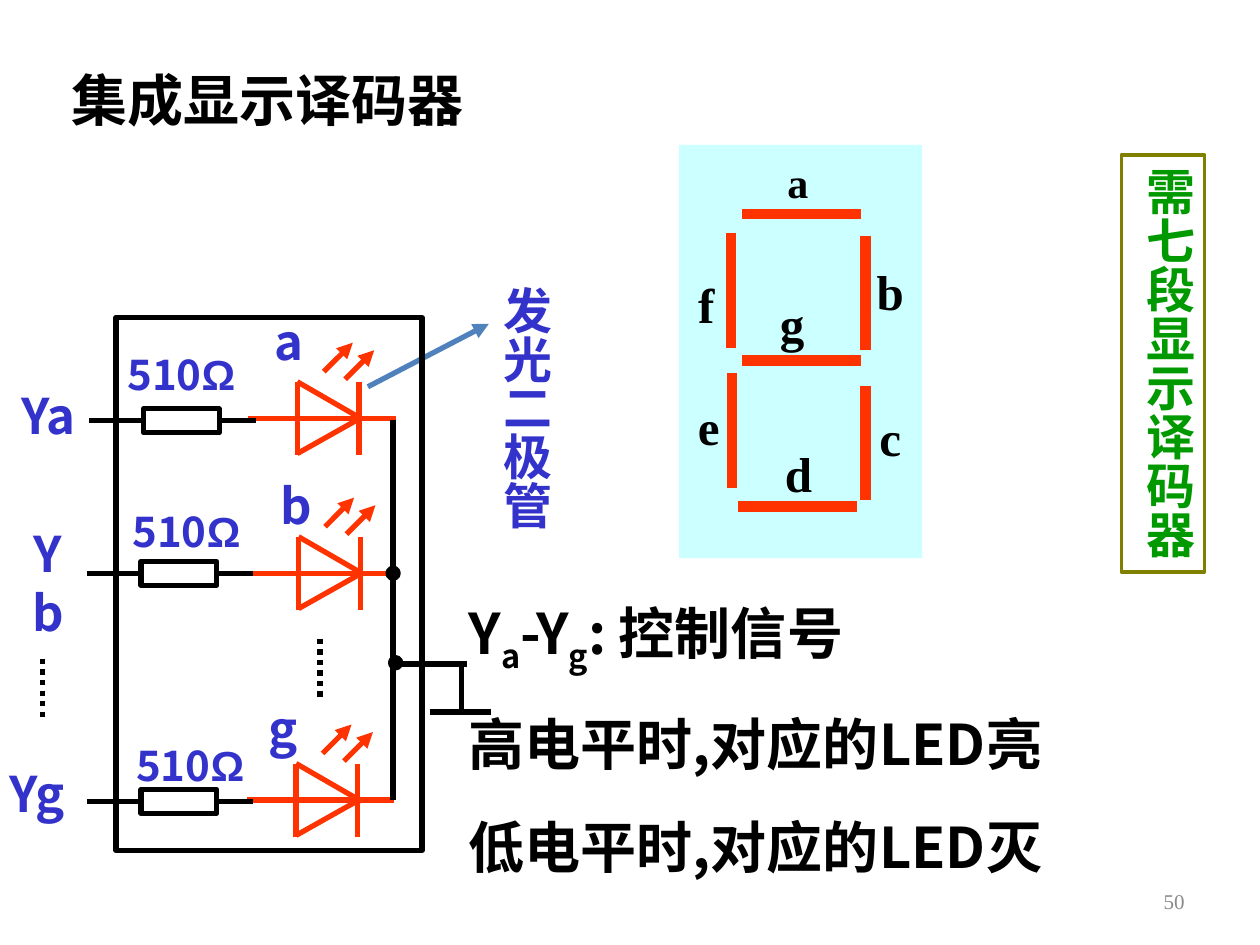
from lxml.etree import SubElement
from pptx import Presentation
from pptx.dml.color import RGBColor
from pptx.enum.dml import MSO_LINE
from pptx.enum.shapes import MSO_CONNECTOR, MSO_SHAPE
from pptx.enum.text import MSO_ANCHOR, PP_ALIGN
from pptx.oxml.ns import qn
from pptx.util import Inches, Pt

BLACK = RGBColor(0, 0, 0)
WHITE = RGBColor(255, 255, 255)
RED = RGBColor(0xFF, 0x33, 0x00)
BLUE = RGBColor(0x33, 0x33, 0xCC)
STEEL = RGBColor(0x4F, 0x81, 0xBD)
CYAN = RGBColor(0xCC, 0xFF, 0xFF)
GREEN = RGBColor(0x00, 0x99, 0x00)
OLIVE = RGBColor(0x80, 0x80, 0x00)
GRAY = RGBColor(0x89, 0x89, 0x89)

SERIF = "Times New Roman"
SANS = "Noto Sans CJK SC"


def add_run(p, text, size, color, font=SANS, bold=True, baseline=0):
    r = p.add_run()
    r.text = text
    r.font.size = Pt(size)
    r.font.bold = bold
    r.font.name = font
    r.font.color.rgb = color
    rPr = r.font._element
    SubElement(rPr, qn("a:ea")).set("typeface", SANS)
    if baseline:
        rPr.set("baseline", str(baseline * 1000))


def format_frame(tf, anchor=MSO_ANCHOR.MIDDLE, wrap=False, vertical=False):
    tf.word_wrap = wrap
    tf.vertical_anchor = anchor
    sides, ends = (0.05, 0.1) if vertical else (0.1, 0.05)
    tf.margin_left = tf.margin_right = Inches(sides)
    tf.margin_top = tf.margin_bottom = Inches(ends)
    if vertical:
        tf._txBody.bodyPr.set("vert", "eaVert")


def add_label(shapes, box, runs, size, color, font=SANS, bold=True,
              align=PP_ALIGN.CENTER, wrap=False, vertical=False):
    tf = shapes.add_textbox(*map(Inches, box)).text_frame
    format_frame(tf, wrap=wrap, vertical=vertical)
    p = tf.paragraphs[0]
    p.alignment = align
    p.space_before = Pt(size * 0.625)
    for text, face in runs:
        add_run(p, text, size, color, face or font, bold)


def add_box(shapes, kind, box, fill=None, line=None, width=3):
    sp = shapes.add_shape(kind, *map(Inches, box))
    sp.shadow.inherit = False
    if fill is None:
        sp.fill.background()
    else:
        sp.fill.solid()
        sp.fill.fore_color.rgb = fill
    if line is None:
        sp.line.fill.background()
    else:
        sp.line.color.rgb = line
        sp.line.width = Pt(width)
    return sp


def add_line(shapes, start, end, color=BLACK, width=3, arrow=False, dash=None):
    cx = shapes.add_connector(MSO_CONNECTOR.STRAIGHT, *map(Inches, (*start, *end)))
    cx.line.color.rgb = color
    cx.line.width = Pt(width)
    if dash:
        cx.line.dash_style = dash
    if arrow:
        SubElement(cx.line._get_or_add_ln(), qn("a:tailEnd")).set("type", "triangle")
    SubElement(cx._element.spPr, qn("a:effectLst"))
    return cx


def add_led(shapes, x, y):
    strokes = [
        ((0, -0.29), (0, 0.29), False),
        ((-0.39, 0), (0.78, 0), False),
        ((0, -0.29), (0.52, 0.01), False),
        ((0.48, 0.01), (0, 0.28), False),
        ((0.49, -0.29), (0.49, 0.29), False),
        ((0.21, -0.37), (0.44, -0.6), True),
        ((0.38, -0.31), (0.61, -0.54), True),
    ]
    for (x1, y1), (x2, y2), arrow in strokes:
        add_line(shapes, (x + x1, y + y1), (x + x2, y + y2), RED, arrow=arrow)


def add_resistor(shapes, cx, cy):
    w, h, lead_in, lead_out = 0.6, 0.19, 0.43, 0.29
    left, right = cx - w / 2, cx + w / 2
    sp = add_box(shapes, MSO_SHAPE.RECTANGLE, (left, cy - h / 2, w, h), WHITE, BLACK)
    add_line(shapes, (left - lead_in, cy), (left, cy)).end_connect(sp, 1)
    add_line(shapes, (right, cy), (right + lead_out, cy)).begin_connect(sp, 3)


def add_seven_segments(shapes):
    add_box(shapes, MSO_SHAPE.RECTANGLE, (5.39, 1.15, 1.93, 3.28), CYAN)
    for x, y in [(5.89, 1.7), (5.89, 2.86), (5.86, 4.02)]:
        add_line(shapes, (x, y), (x + 0.94, y), RED, 6)
    for x, y in [(5.8, 1.85), (5.81, 2.96), (6.87, 3.06), (6.87, 1.87)]:
        add_line(shapes, (x, y), (x, y + 0.91), RED, 6)
    labels = [("a", 6.15, 1.2, 0.36, 24), ("b", 6.86, 2.03, 0.41, 28),
              ("c", 6.88, 3.19, 0.37, 28), ("d", 6.13, 3.47, 0.41, 28),
              ("e", 5.44, 3.1, 0.37, 28), ("f", 5.44, 2.13, 0.33, 28),
              ("g", 6.09, 2.28, 0.39, 28)]
    for text, x, y, w, size in labels:
        add_label(shapes, (x, y, w, size / 50), [(text, None)], size, BLACK, SERIF)


def add_circuit(shapes):
    add_box(shapes, MSO_SHAPE.RECTANGLE, (0.92, 2.52, 2.43, 4.23), line=BLACK)
    leds = [(2.36, 3.32), (2.37, 4.55), (2.35, 6.35)]
    resistors = [(1.44, 3.34), (1.42, 4.55), (1.42, 6.36)]
    for led, resistor in zip(leds, resistors):
        add_led(shapes, *led)
        add_resistor(shapes, *resistor)
    wires = [((3.12, 3.33), (3.12, 6.35)), ((3.12, 5.27), (3.71, 5.27)),
             ((3.66, 5.27), (3.66, 5.65)), ((3.41, 5.65), (3.9, 5.65))]
    for start, end in wires:
        add_line(shapes, start, end)
    for x, y in [(3.08, 4.51), (3.1, 5.22)]:
        add_box(shapes, MSO_SHAPE.OVAL, (x, y, 0.08, 0.08), BLACK, BLACK)
    for x, y in [(2.54, 5.07), (0.34, 5.23)]:
        add_line(shapes, (x, y), (x, y + 0.46), dash=MSO_LINE.ROUND_DOT)
    for x, y in [(0.91, 2.72), (0.95, 3.96), (0.98, 5.82)]:
        add_label(shapes, (x, y, 1.06, 0.5), [("510", None), ("Ω", "Arial")], 24, BLUE)
    names = [("Ya", 0.05, 3.01, 0.67, False), ("Yb", 0.07, 4.34, 0.62, True),
             ("Yg", -0.04, 6.01, 0.67, False), ("a", 2.08, 2.42, 0.43, False),
             ("b", 2.13, 3.72, 0.43, False), ("g", 2.03, 5.49, 0.43, False)]
    for text, x, y, w, wrap in names:
        add_label(shapes, (x, y, w, 0.57), [(text, None)], 28, BLUE, wrap=wrap)


def add_explanation(shapes):
    lines = [
        [("Y", 0), ("a", -25), ("-Y", 0), ("g", -25), (": 控制信号", 0)],
        [("高电平时,对应的LED亮", 0)],
        [("低电平时,对应的LED灭", 0)],
    ]
    tf = shapes.add_textbox(*map(Inches, (3.62, 4.7, 5.26, 2.33))).text_frame
    format_frame(tf, wrap=True)
    for i, runs in enumerate(lines):
        p = tf.add_paragraph() if i else tf.paragraphs[0]
        p.space_before = Pt(20)
        for text, baseline in runs:
            add_run(p, text, 32, BLACK, baseline=baseline)


def add_title(s):
    sp = s.shapes.title
    sp.left, sp.top, sp.width, sp.height = map(Inches, (0.47, 0.47, 3.52, 0.64))
    format_frame(sp.text_frame, MSO_ANCHOR.TOP, wrap=True)
    p = sp.text_frame.paragraphs[0]
    p.alignment = PP_ALIGN.LEFT
    add_run(p, "集成显示译码器", 32, BLACK, SERIF)


def add_decoder_note(shapes):
    sp = add_box(shapes, MSO_SHAPE.RECTANGLE, (8.9, 1.23, 0.66, 3.31), line=OLIVE, width=2)
    format_frame(sp.text_frame, MSO_ANCHOR.TOP, wrap=True, vertical=True)
    p = sp.text_frame.paragraphs[0]
    p.alignment = PP_ALIGN.LEFT
    p.space_before = Pt(17.5)
    add_run(p, "需七段显示译码器", 28, GREEN, SERIF)


def main():
    prs = Presentation()
    prs.slide_width, prs.slide_height = Inches(10), Inches(7.5)
    s = prs.slides.add_slide(prs.slide_layouts[5])
    add_title(s)
    add_label(s.shapes, (7.17, 6.95, 2.33, 0.4), [("50", None)], 12, GRAY, SERIF,
              bold=False, align=PP_ALIGN.RIGHT, wrap=True)
    add_seven_segments(s.shapes.add_group_shape().shapes)
    add_explanation(s.shapes)
    callout = s.shapes.add_group_shape().shapes
    add_label(callout, (3.85, 2.17, 0.66, 2.04), [("发光二极管", None)], 28, BLUE, vertical=True)
    add_line(callout, (2.92, 3.07), (3.88, 2.57), STEEL, arrow=True)
    add_circuit(s.shapes.add_group_shape().shapes)
    add_decoder_note(s.shapes)
    prs.save("out.pptx")


if __name__ == "__main__":
    main()
